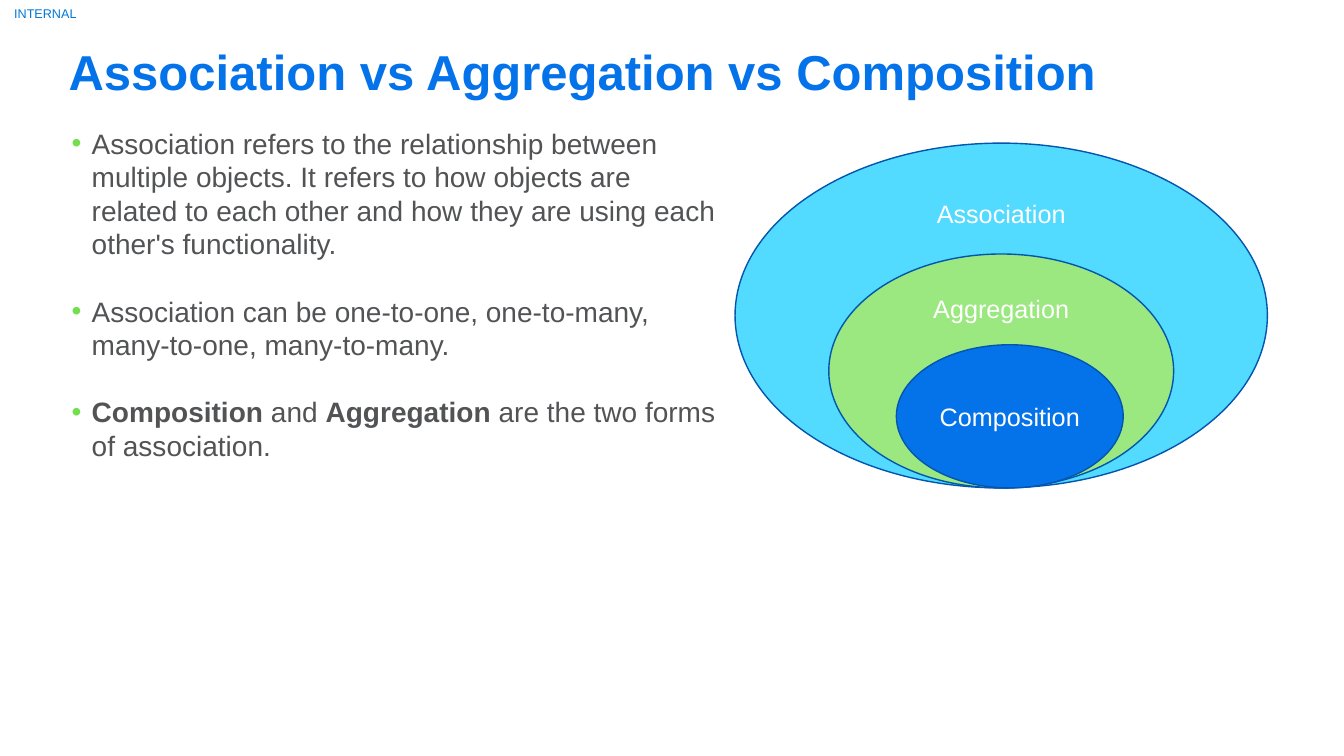
from lxml import etree
from pptx import Presentation
from pptx.dml.color import RGBColor
from pptx.enum.shapes import MSO_SHAPE
from pptx.enum.text import MSO_ANCHOR, MSO_AUTO_SIZE, PP_ALIGN
from pptx.oxml.ns import qn
from pptx.util import Inches, Pt

ELLIPSE = MSO_SHAPE.OVAL
TOP, MIDDLE = MSO_ANCHOR.TOP, MSO_ANCHOR.MIDDLE
LEFT, CENTER = PP_ALIGN.LEFT, PP_ALIGN.CENTER

COLORS = {
    "label": "0078D7", "title": "0473EA", "body": "525355", "bullet": "74DF4C",
    "outline": "0355AD", "white": "FFFFFF",
    "Association": "52DAFF", "Aggregation": "9BE880", "Composition": "0473EA",
}
LABEL = "INTERNAL"
TITLE = "Association vs Aggregation vs Composition"
# Each bullet is a list of (text, bold) runs
BULLETS = [
    [("Association refers to the relationship between multiple objects. "
      "It refers to how objects are related to each other and how they are "
      "using each other's functionality.", False)],
    [("Association can be one-to-one, one-to-many, many-to-one, many-to-many.", False)],
    [("Composition", True), (" and ", False), ("Aggregation", True),
     (" are the two forms of association.", False)],
]
# Nested sets, outermost first: name, centre x, width, height, text anchor
SETS = [
    ("Association", 9.93, 5.28, 3.42, TOP),
    ("Aggregation", 9.93, 3.42, 2.32, TOP),
    ("Composition", 10.015, 2.25, 1.42, MIDDLE),
]
SETS_BOTTOM = 4.84
LINE_PITCH = Pt(24)
INDENT = Inches(0.2)


def place(shape, left, top, width, height):
    shape.left, shape.top = Inches(left), Inches(top)
    shape.width, shape.height = Inches(width), Inches(height)


def format_frame(frame, anchor, inset=None):
    settings = {"auto_size": MSO_AUTO_SIZE.NONE, "word_wrap": True,
                "vertical_anchor": anchor}
    if inset is not None:
        for side in ("left", "top", "right", "bottom"):
            settings[f"margin_{side}"] = inset
    for name, value in settings.items():
        setattr(frame, name, value)


def add_run(paragraph, text, size, color, bold=False):
    run = paragraph.add_run()
    run.text = text
    for name, value in {"name": "Arial", "size": Pt(size), "bold": bold}.items():
        setattr(run.font, name, value)
    run.font.color.rgb = RGBColor.from_string(COLORS[color])


def add_bullet(paragraph):
    properties = paragraph._p.get_or_add_pPr()
    properties.set("marL", str(INDENT))
    properties.set("indent", str(-INDENT))
    bullet_color = etree.SubElement(properties, qn("a:buClr"))
    etree.SubElement(bullet_color, qn("a:srgbClr"), val=COLORS["bullet"])
    etree.SubElement(properties, qn("a:buChar"), char="•")


def set_spacing(paragraph, align, line=None, after=0):
    spacing = {"alignment": align, "line_spacing": line,
               "space_before": Pt(0), "space_after": after}
    for name, value in spacing.items():
        setattr(paragraph, name, value)


def add_set(slide, name, center, width, height, anchor):
    ellipse = slide.shapes.add_shape(
        ELLIPSE, Inches(center - width / 2), Inches(SETS_BOTTOM - height),
        Inches(width), Inches(height))
    ellipse.shadow.inherit = False
    ellipse.fill.solid()
    ellipse.fill.fore_color.rgb = RGBColor.from_string(COLORS[name])
    ellipse.line.color.rgb = RGBColor.from_string(COLORS["outline"])
    ellipse.line.width = Pt(1)
    format_frame(ellipse.text_frame, anchor)
    paragraph = ellipse.text_frame.paragraphs[0]
    paragraph.alignment = CENTER
    add_run(paragraph, name, 18, "white")


def main():
    deck = Presentation()
    deck.slide_width, deck.slide_height = Inches(13.33), Inches(7.5)
    slide = deck.slides.add_slide(deck.slide_layouts[1])

    label = slide.shapes.add_textbox(0, 0, Inches(0.9), Inches(0.26))
    format_frame(label.text_frame, MIDDLE, 0)
    label_line = label.text_frame.paragraphs[0]
    label_line.alignment = CENTER
    add_run(label_line, LABEL, 9, "label")

    title = slide.shapes.title
    place(title, 0.68, 0.38, 10.42, 0.96)
    format_frame(title.text_frame, TOP, 0)
    heading = title.text_frame.paragraphs[0]
    set_spacing(heading, LEFT, Pt(44))
    add_run(heading, TITLE, 35, "title", True)

    body = slide.placeholders[1]
    place(body, 0.71, 1.25, 6.46, 4.5)
    format_frame(body.text_frame, TOP, 0)
    for index, runs in enumerate(BULLETS):
        frame = body.text_frame
        paragraph = frame.add_paragraph() if index else frame.paragraphs[0]
        set_spacing(paragraph, LEFT, LINE_PITCH, LINE_PITCH)
        add_bullet(paragraph)
        for text, bold in runs:
            add_run(paragraph, text, 20, "body", bold)

    for nested_set in SETS:
        add_set(slide, *nested_set)

    deck.save("out.pptx")


if __name__ == "__main__":
    main()
